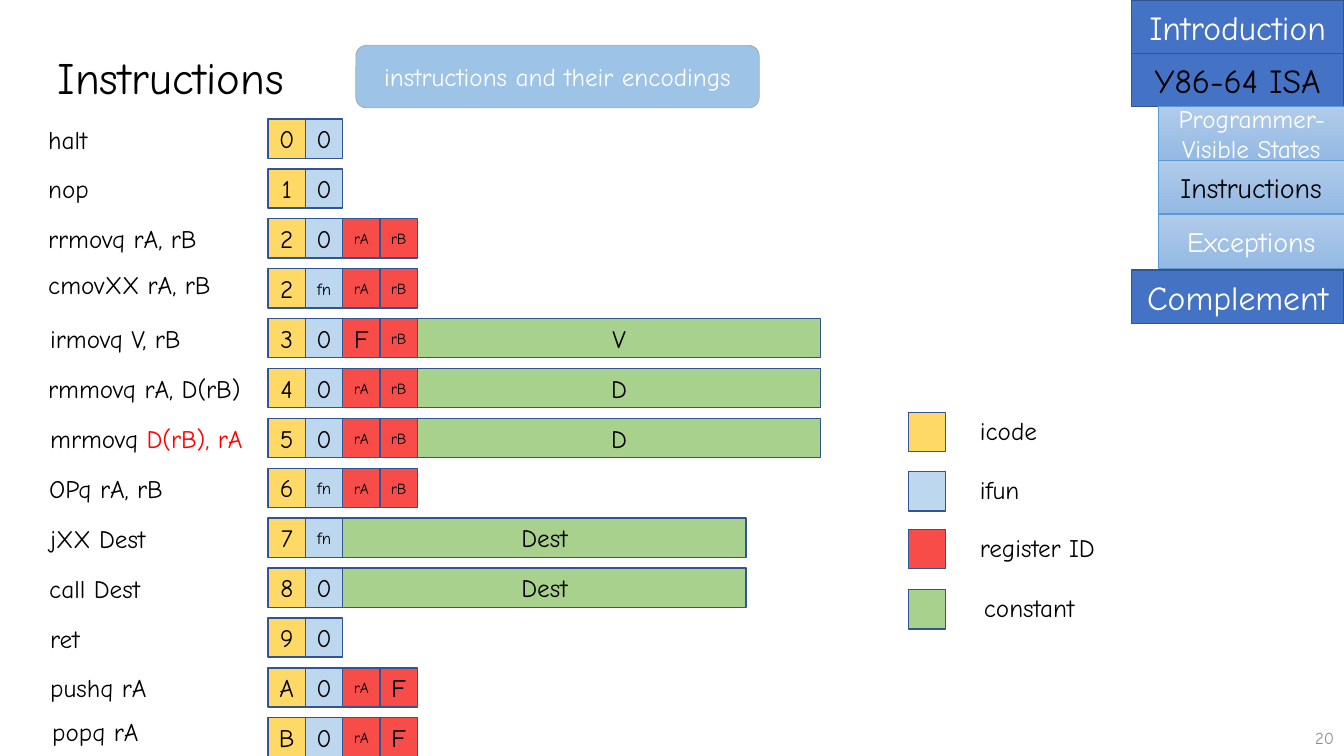
from dataclasses import dataclass

from pptx import Presentation
from pptx.dml.color import RGBColor
from pptx.enum.shapes import MSO_SHAPE
from pptx.enum.text import MSO_ANCHOR, MSO_AUTO_SIZE, PP_ALIGN
from pptx.shapes.autoshape import Shape
from pptx.slide import Slide
from pptx.util import Inches, Pt

FONT = "Comic Neue"
BLACK = RGBColor(0x00, 0x00, 0x00)
WHITE = RGBColor(0xFF, 0xFF, 0xFF)
GRAY = RGBColor(0x8C, 0x8C, 0x8C)
SILVER = RGBColor(0xA5, 0xA5, 0xA5)
BRIGHT = RGBColor(0xFF, 0x00, 0x00)
NAVY = RGBColor(0x32, 0x54, 0x91)
BLUE = RGBColor(0x44, 0x72, 0xC4)
SKY = RGBColor(0x9D, 0xC3, 0xE6)
EDGE = RGBColor(0x5B, 0x9B, 0xD5)
FADE = (RGBColor(0xB1, 0xCB, 0xE9), RGBColor(0x93, 0xB9, 0xE4))
YELLOW = RGBColor(0xFF, 0xD9, 0x66)
PALE = RGBColor(0xBD, 0xD7, 0xEE)
RED = RGBColor(0xF8, 0x4C, 0x48)
GREEN = RGBColor(0xA9, 0xD1, 0x8E)

TOP = 1.18
STEP = (7.12 - TOP) / 12
LEFT = 2.66
CELL_W, CELL_H = 0.37, 0.39
WORD_W = 4
SIZES = {"fn": 12, "rA": 11, "rB": 11}


@dataclass
class Run:
    text: str
    size: float = 18
    color: RGBColor = BLACK


@dataclass
class Box:
    left: float
    top: float
    width: float
    height: float


@dataclass
class Row:
    name: str
    code: str
    fun: str = "0"
    regs: tuple[str, ...] = ()
    const: str = ""
    args: str = ""
    left: float = 0.4
    shift: float = 0


@dataclass
class Tab:
    text: str
    top: float
    size: float = 24
    color: RGBColor = WHITE
    sub: bool = False


@dataclass
class Key:
    text: str
    fill: RGBColor
    top: float
    left: float = 9.62


ROWS = [
    Row("halt", "0", left=0.38),
    Row("nop", "1", left=0.38),
    Row("rrmovq rA, rB", "2", regs=("rA", "rB"), left=0.38),
    Row("cmovXX rA, rB", "2", "fn", ("rA", "rB"), left=0.38, shift=-0.04),
    Row("irmovq V, rB", "3", regs=("F", "rB"), const="V"),
    Row("rmmovq rA, D(rB)", "4", regs=("rA", "rB"), const="D", left=0.38),
    Row("mrmovq ", "5", regs=("rA", "rB"), const="D", args="D(rB), rA"),
    Row("OPq rA, rB", "6", "fn", ("rA", "rB"), left=0.39),
    Row("jXX Dest", "7", "fn", const="Dest"),
    Row("call Dest", "8", const="Dest", left=0.39),
    Row("ret", "9"),
    Row("pushq rA", "A", regs=("rA", "F")),
    Row("popq rA", "B", regs=("rA", "F"), left=0.42, shift=-0.06),
]
TABS = [
    Tab("Introduction", 0),
    Tab("Y86-64 ISA", 0.53, color=BLACK),
    Tab("Complement", 2.68),
    Tab("Programmer-Visible States", 1.06, 18, sub=True),
    Tab("Instructions", 1.59, 20, BLACK, True),
    Tab("Exceptions", 2.13, 20, sub=True),
]
KEYS = [
    Key("icode", YELLOW, 4.09),
    Key("ifun", PALE, 4.68),
    Key("register ID", RED, 5.25),
    Key("constant", GREEN, 5.85, 9.66),
]


def write(shape: Shape, runs: list[Run], align: PP_ALIGN) -> None:
    para = shape.text_frame.paragraphs[0]
    para.alignment = align
    for item in runs:
        run = para.add_run()
        run.text = item.text
        run.font.name = FONT
        run.font.size = Pt(item.size)
        run.font.color.rgb = item.color


def place(box: Box) -> tuple[Inches, Inches, Inches, Inches]:
    return Inches(box.left), Inches(box.top), Inches(box.width), Inches(box.height)


def block(slide: Slide, box: Box, fill: RGBColor, runs: list[Run],
          line: RGBColor = NAVY, weight: float = 1,
          kind: MSO_SHAPE = MSO_SHAPE.RECTANGLE) -> Shape:
    shape = slide.shapes.add_shape(kind, *place(box))
    shape.shadow.inherit = False
    shape.fill.solid()
    shape.fill.fore_color.rgb = fill
    shape.line.color.rgb = line
    shape.line.width = Pt(weight)
    shape.text_frame.word_wrap = True
    shape.text_frame.vertical_anchor = MSO_ANCHOR.MIDDLE
    write(shape, runs, PP_ALIGN.CENTER)
    return shape


def label(slide: Slide, box: Box, runs: list[Run],
          align: PP_ALIGN = PP_ALIGN.LEFT) -> Shape:
    shape = slide.shapes.add_textbox(*place(box))
    shape.text_frame.word_wrap = False
    shape.text_frame.auto_size = MSO_AUTO_SIZE.SHAPE_TO_FIT_TEXT
    write(shape, runs, align)
    return shape


def draw_tab(slide: Slide, tab: Tab) -> None:
    runs = [Run(tab.text, tab.size, tab.color)]
    if not tab.sub:
        block(slide, Box(11.22, tab.top, 2.11, 0.53), BLUE, runs)
        return
    shape = block(slide, Box(11.49, tab.top, 1.84, 0.53), SKY, runs, EDGE, 0.5)
    shape.fill.gradient()
    shape.fill.gradient_angle = 270
    for stop, color in zip(shape.fill.gradient_stops, FADE):
        stop.color.rgb = color


def draw_row(slide: Slide, row: Row, top: float) -> None:
    runs = [Run(row.name)]
    if row.args:
        runs.append(Run(row.args, color=BRIGHT))
    label(slide, Box(row.left, top + row.shift, 2.16, 0.4), runs)

    cells = [(row.code, YELLOW, CELL_W), (row.fun, PALE, CELL_W)]
    cells += [(reg, RED, CELL_W) for reg in row.regs]
    if row.const:
        cells.append((row.const, GREEN, WORD_W))
    left = LEFT
    for text, fill, width in cells:
        shape = block(slide, Box(left, top, width, CELL_H), fill,
                      [Run(text, SIZES.get(text, 18))])
        shape.text_frame.margin_left = shape.text_frame.margin_right = 0
        left += width


def main() -> None:
    deck = Presentation()
    deck.slide_width, deck.slide_height = Inches(13.33), Inches(7.5)
    slide = deck.slides.add_slide(deck.slide_layouts[6])

    # Side menu
    for tab in TABS:
        draw_tab(slide, tab)

    # Title, banner and page number
    label(slide, Box(0.38, 0.44, 2.63, 0.64), [Run("Instructions", 32)],
          PP_ALIGN.CENTER)
    block(slide, Box(3.53, 0.45, 4, 0.62), SKY,
          [Run("instructions and their encodings", color=WHITE)],
          SILVER, 0.5, MSO_SHAPE.ROUNDED_RECTANGLE)
    page = label(slide, Box(10.33, 7.12, 3, 0.4), [Run("20", 12, GRAY)],
                 PP_ALIGN.RIGHT)
    page.text_frame.auto_size = MSO_AUTO_SIZE.NONE
    page.text_frame.word_wrap = True
    page.text_frame.vertical_anchor = MSO_ANCHOR.MIDDLE

    # Encoding of each instruction
    for place_no, row in enumerate(ROWS):
        draw_row(slide, row, TOP + place_no * STEP)

    # Colour key
    for key in KEYS:
        block(slide, Box(9.01, key.top, CELL_W, CELL_H), key.fill, [])
        label(slide, Box(key.left, key.top - 0.02, 1.46, 0.4), [Run(key.text)])

    deck.save("out.pptx")


if __name__ == "__main__":
    main()
